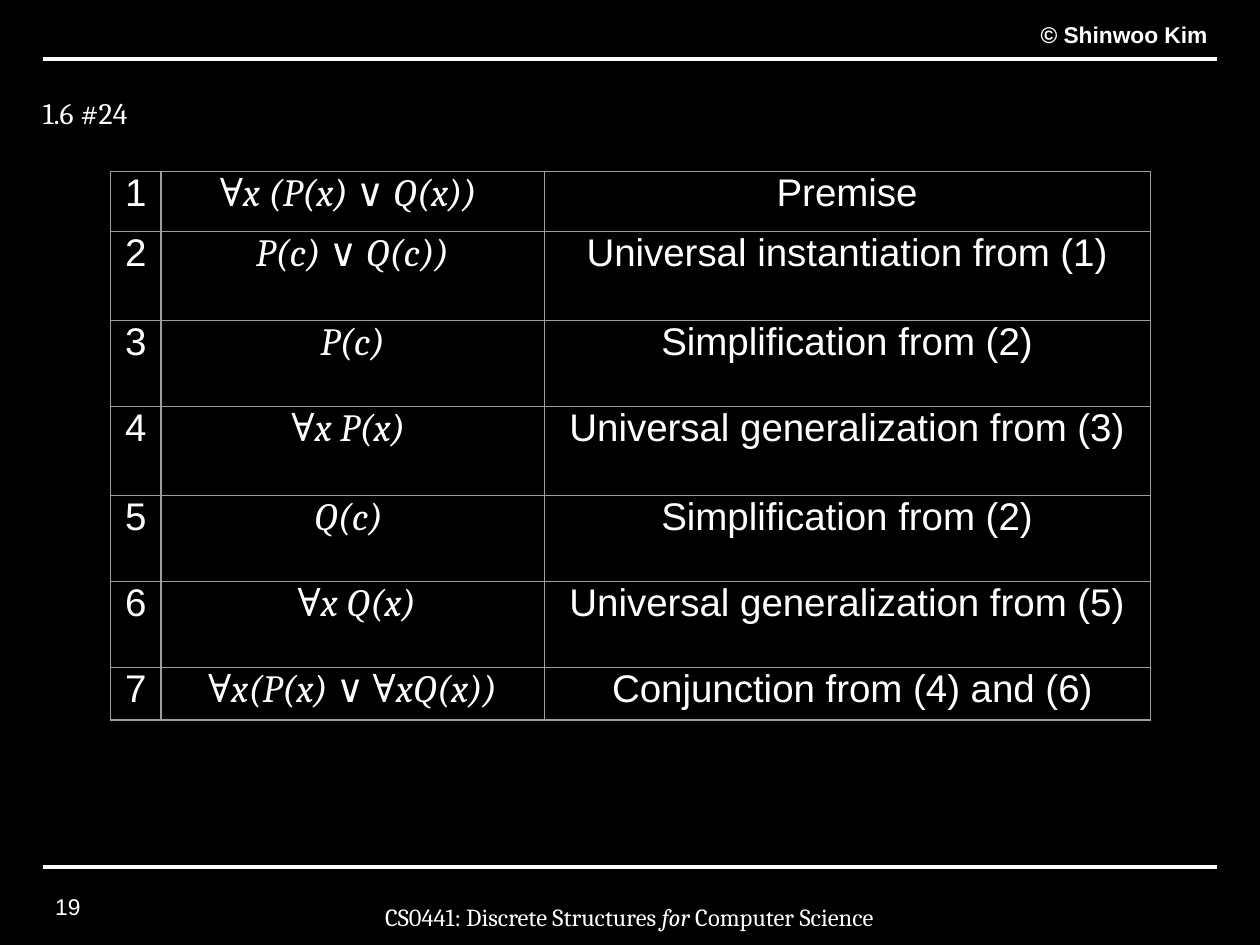
import dataclasses

import lxml.etree
import pptx
import pptx.dml.color
import pptx.enum.shapes
import pptx.enum.text
import pptx.oxml.ns
import pptx.util

Pt = pptx.util.Pt
Align = pptx.enum.text.PP_ALIGN
Anchor = pptx.enum.text.MSO_ANCHOR
qn = pptx.oxml.ns.qn


@dataclasses.dataclass(frozen=True)
class Theme:
    background: str = "000000"
    ink: str = "FFFFFF"
    grid: str = "9E9E9E"
    sans: str = "Arial"
    serif: str = "Cambria"
    small: int = 13
    footer: int = 14
    title: int = 17
    proof: int = 22
    rule_width: float = 2.25
    grid_width: float = 0.75


class SlideBuilder:
    def __init__(self, slide, theme):
        self.slide = slide
        self.theme = theme
        fill = slide.background.fill
        fill.solid()
        fill.fore_color.rgb = self.color(theme.background)

    def color(self, value):
        return pptx.dml.color.RGBColor.from_string(value)

    def style(self, run, font, size, bold=False, italic=False):
        run.font.name = font
        run.font.size = Pt(size)
        run.font.bold = bold
        run.font.italic = italic
        run.font.color.rgb = self.color(self.theme.ink)

    def text(self, box, pieces, font, size, align=Align.LEFT, anchor=Anchor.TOP,
             insets=(7.2, 7.2, 7.2, 7.2), bold=False):
        frame = self.slide.shapes.add_textbox(*map(Pt, box)).text_frame
        frame.word_wrap = True
        frame.vertical_anchor = anchor
        (frame.margin_left, frame.margin_top,
         frame.margin_right, frame.margin_bottom) = map(Pt, insets)
        paragraph = frame.paragraphs[0]
        paragraph.alignment = align
        for words, italic in pieces:
            run = paragraph.add_run()
            run.text = words
            self.style(run, font, size, bold, italic)

    def rule(self, left, right, y):
        line = self.slide.shapes.add_connector(
            pptx.enum.shapes.MSO_CONNECTOR.STRAIGHT, Pt(left), Pt(y), Pt(right), Pt(y))
        line.line.color.rgb = self.color(self.theme.ink)
        line.line.width = Pt(self.theme.rule_width)
        lxml.etree.SubElement(line._element.spPr, qn("a:effectLst"))

    def borders(self, cell):
        properties = cell._tc.get_or_add_tcPr()
        for side in ("a:lnL", "a:lnR", "a:lnT", "a:lnB"):
            edge = lxml.etree.SubElement(properties, qn(side), w=str(Pt(self.theme.grid_width)))
            fill = lxml.etree.SubElement(edge, qn("a:solidFill"))
            lxml.etree.SubElement(fill, qn("a:srgbClr"), val=self.theme.grid)

    def table(self, left, top, widths, heights, rows):
        table = self.slide.shapes.add_table(
            len(rows), len(widths), Pt(left), Pt(top),
            Pt(sum(widths)), Pt(sum(heights))).table
        table.first_row = table.horz_banding = False
        for column, width in zip(table.columns, widths):
            column.width = Pt(width)
        fonts = (self.theme.sans, self.theme.serif, self.theme.sans)
        for r, (height, row) in enumerate(zip(heights, rows)):
            table.rows[r].height = Pt(height)
            for c, (words, font) in enumerate(zip(row, fonts)):
                cell = table.cell(r, c)
                cell.margin_left = cell.margin_right = 0
                cell.margin_top = cell.margin_bottom = 0
                cell.text_frame.text = words
                paragraph = cell.text_frame.paragraphs[0]
                paragraph.alignment = Align.CENTER
                self.style(paragraph.runs[0], font, self.theme.proof,
                           italic=font == self.theme.serif)
                self.borders(cell)
                cell.fill.background()


def main():
    deck = pptx.Presentation()
    deck.slide_width, deck.slide_height = Pt(720), Pt(540)
    theme = Theme()
    page = SlideBuilder(deck.slides.add_slide(deck.slide_layouts[6]), theme)

    page.text((573.8, -5.8, 123.1, 40.3), [("© Shinwoo Kim", False)], theme.sans,
              theme.small, Align.RIGHT, Anchor.BOTTOM, (7.2, 0, 7.2, 7.2), bold=True)
    for y in (33.8, 495.4):
        page.rule(24.5, 695.5, y)
    page.text((124.6, 508.3, 470.2, 31.7),
              [("CS0441: Discrete Structures ", False), ("for", True),
               (" Computer Science", False)],
              theme.serif, theme.footer, Align.CENTER)
    page.text((24.5, 54, 84.2, 24.5), [("1.6 #24", False)], theme.serif,
              theme.title, insets=(0, 0, 0, 0))
    page.text((24.5, 497.5, 43.2, 41), [("19", False)], theme.sans,
              theme.small, anchor=Anchor.MIDDLE)

    steps = [
        ("∀x (P(x) ∨ Q(x)) ", "Premise"),
        (" P(c) ∨ Q(c)) ", "Universal instantiation from (1)"),
        ("P(c)", "Simplification from (2)"),
        ("∀x P(x) ", "Universal generalization from (3)"),
        ("Q(c) ", "Simplification from (2)"),
        (" ∀x Q(x)", "Universal generalization from (5)"),
        ("∀x(P(x) ∨ ∀xQ(x))", " Conjunction from (4) and (6)"),
    ]
    page.table(63.2, 97.9, (28.8, 218.9, 346.3),
               (34.4, 50.8, 49.2, 50.8, 49.2, 49.2, 30),
               [(str(number), *step) for number, step in enumerate(steps, 1)])
    deck.save("out.pptx")


if __name__ == "__main__":
    main()
